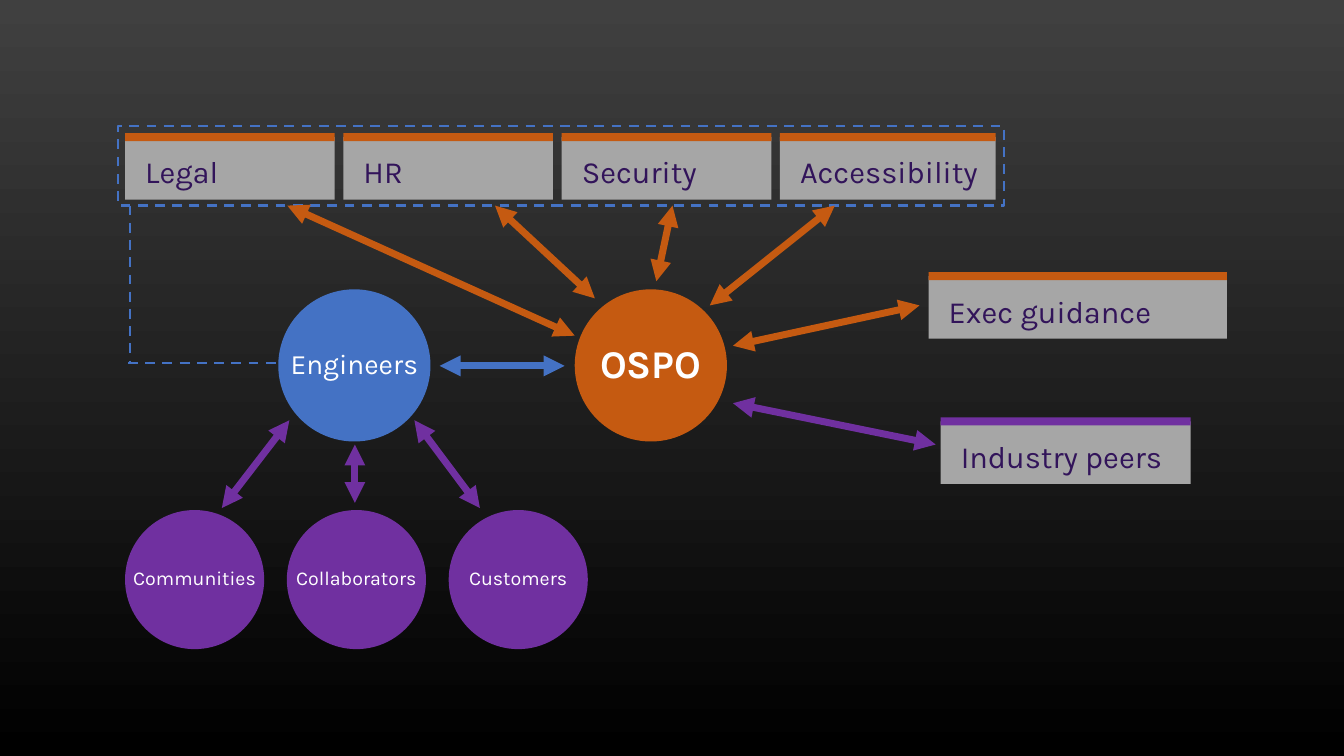
from lxml import etree
from pptx import Presentation
from pptx.dml.color import RGBColor
from pptx.enum import dml, shapes, text
from pptx.oxml import ns
from pptx.util import Inches, Pt

FONT = "Karla"
COLORS = {
    "top": "404040", "bottom": "000000", "orange": "C55A11", "blue": "4472C4",
    "purple": "7030A0", "gray": "A6A6A6", "ink": "32145A", "white": "FFFFFF",
}

# label, left, top, diameter, colour, size, bold
HUBS = [
    ("OSPO", 5.7, 2.87, 1.51, "orange", 28, True),
    ("Engineers", 2.76, 2.87, 1.51, "blue", 20, False),
]
GROUPS = ["Communities", "Collaborators", "Customers"]
GROUP_LEFT, GROUP_TOP, GROUP_STEP, GROUP_SIZE = 1.24, 5.06, 1.605, 1.38

TEAMS = [("Legal", 2.08), ("HR", 2.08), ("Security", 2.08), ("Accessibility", 2.14)]
TEAM_LEFT, TEAM_TOP, TEAM_STEP = 1.24, 1.36, 2.165
# label, left, top, width, bar colour
PARTNERS = [
    ("Exec guidance", 9.21, 2.74, 2.96, "orange"),
    ("Industry peers", 9.33, 4.18, 2.48, "purple"),
]
CARD_HEIGHT, BAR = 0.62, 0.08

FRAME = (1.17, 1.25, 8.79, 0.79)
DASHES = [(1.29, 2.04, 1.29, 3.6), (1.27, 3.6, 2.87, 3.6)]
ARROWS = {
    "blue": [(4.36, 3.63, 5.6, 3.63)],
    "orange": [
        (2.85, 2.04, 5.7, 3.33), (4.91, 2.04, 5.9, 2.96), (6.67, 2.04, 6.51, 2.79),
        (8.28, 2.04, 7.04, 3.03), (9.12, 3.03, 7.27, 3.43),
    ],
    "purple": [
        (7.27, 4, 9.28, 4.41), (4.11, 4.17, 4.76, 5.04),
        (2.87, 4.17, 2.2, 5.04), (3.52, 4.41, 3.52, 4.99),
    ],
}


def rgb(name):
    return RGBColor.from_string(COLORS[name])


def add_block(slide, kind, box, color):
    block = slide.shapes.add_shape(kind, *map(Inches, box))
    block.shadow.inherit = False
    block.fill.solid()
    block.fill.fore_color.rgb = rgb(color)
    block.line.fill.background()
    return block


def set_text(shape, label, size, color, left=0, right=0, bold=False):
    frame = shape.text_frame
    frame.margin_left, frame.margin_right = Inches(left), Inches(right)
    frame.margin_top = frame.margin_bottom = Inches(0.16)
    para = frame.paragraphs[0]
    para.text = label
    para.font.name, para.font.size, para.font.bold = FONT, Pt(size), bold
    para.font.color.rgb = rgb(color)
    return frame, para


def add_circle(slide, label, left, top, size, color, points, bold=False):
    disc = add_block(slide, shapes.MSO_SHAPE.OVAL, (left, top, size, size), color)
    frame, para = set_text(disc, label, points, "white", bold=bold)
    frame.word_wrap = False
    frame.vertical_anchor = text.MSO_ANCHOR.MIDDLE
    para.alignment = text.PP_ALIGN.CENTER
    para.line_spacing = 0.9


def add_card(slide, label, left, top, width, color):
    """Add a gray label box with a coloured bar centred on its top edge."""
    rect = shapes.MSO_SHAPE.RECTANGLE
    card = add_block(slide, rect, (left, top, width, CARD_HEIGHT), "gray")
    frame, para = set_text(card, label, 22, "ink", left=0.2, right=0.1)
    frame.word_wrap = True
    frame.vertical_anchor = text.MSO_ANCHOR.TOP
    para.alignment = text.PP_ALIGN.LEFT
    add_block(slide, rect, (left, top - BAR / 2, width, BAR), color)


def set_dash(line):
    line.color.rgb = rgb("blue")
    line.width = Pt(1.75)
    line.dash_style = dml.MSO_LINE.DASH


def add_line(slide, ends):
    line = slide.shapes.add_connector(shapes.MSO_CONNECTOR.STRAIGHT, *map(Inches, ends))
    etree.SubElement(line._element.spPr, ns.qn("a:effectLst"))
    return line


def add_arrow(slide, ends, color):
    arrow = add_line(slide, ends)
    arrow.line.color.rgb = rgb(color)
    arrow.line.width = Pt(5)
    outline = arrow.line._get_or_add_ln()
    for tip in ("a:headEnd", "a:tailEnd"):
        etree.SubElement(outline, ns.qn(tip), type="triangle")


def main():
    deck = Presentation()
    deck.slide_width, deck.slide_height = Inches(13.33), Inches(7.5)
    slide = deck.slides.add_slide(deck.slide_layouts[6])

    back = slide.background.fill
    back.gradient()
    back.gradient_angle = 270
    for stop, name, place in zip(back.gradient_stops, ("top", "bottom"), (0, 1)):
        stop.color.rgb = rgb(name)
        stop.position = place

    for hub in HUBS:
        add_circle(slide, *hub)

    border = slide.shapes.add_shape(shapes.MSO_SHAPE.RECTANGLE, *map(Inches, FRAME))
    border.shadow.inherit = False
    border.fill.background()
    set_dash(border.line)
    for ends in DASHES:
        set_dash(add_line(slide, ends).line)

    for i, (label, width) in enumerate(TEAMS):
        add_card(slide, label, TEAM_LEFT + i * TEAM_STEP, TEAM_TOP, width, "orange")
    for partner in PARTNERS:
        add_card(slide, *partner)
    for i, label in enumerate(GROUPS):
        left = GROUP_LEFT + i * GROUP_STEP
        add_circle(slide, label, left, GROUP_TOP, GROUP_SIZE, "purple", 14)

    for color, arrows in ARROWS.items():
        for ends in arrows:
            add_arrow(slide, ends, color)

    deck.save("out.pptx")


if __name__ == "__main__":
    main()
